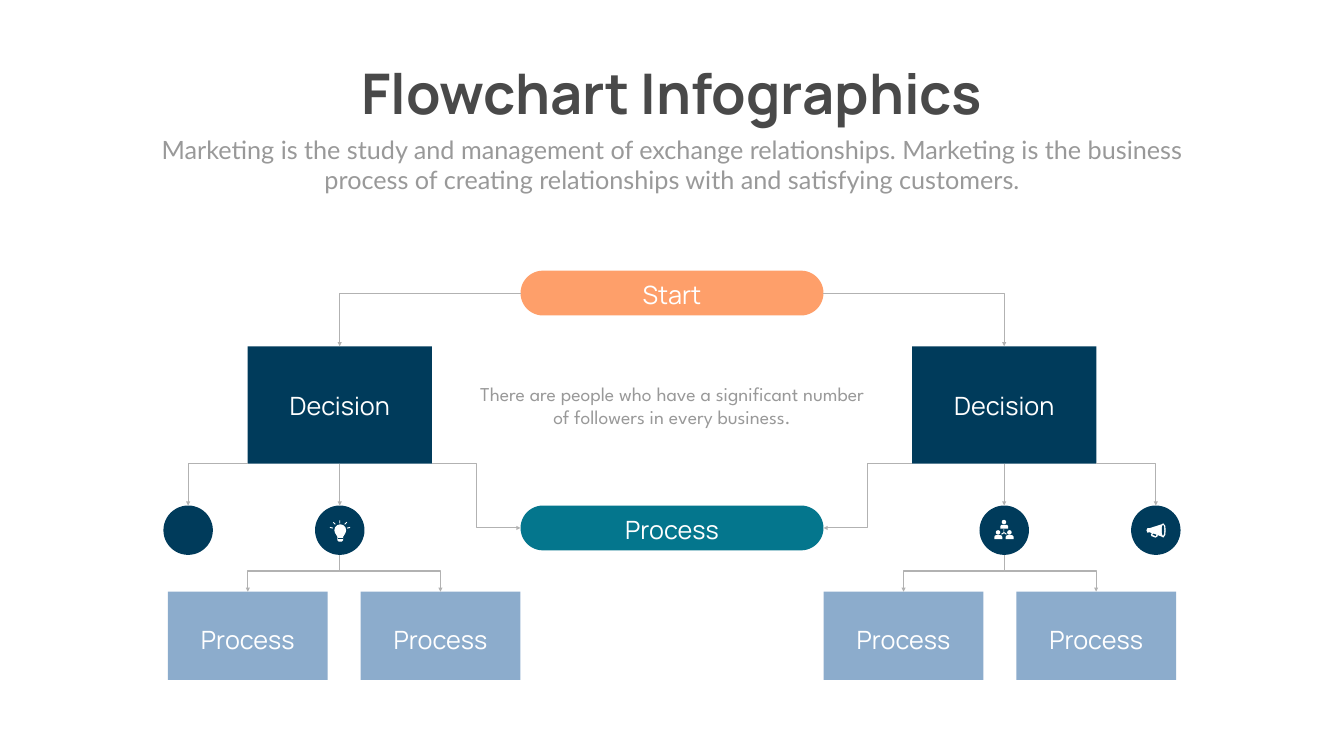
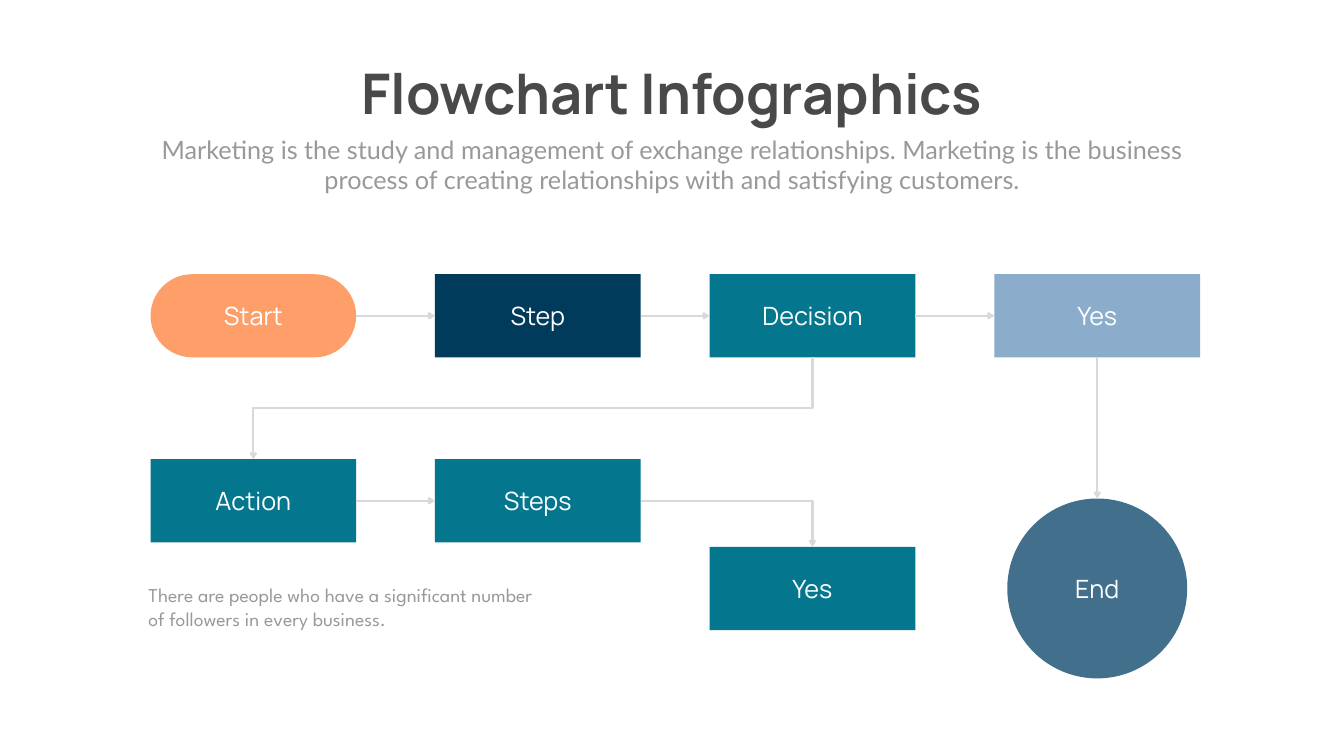
import pptx
import pptx.dml.color
import pptx.enum.shapes
import pptx.enum.text
import pptx.oxml
import pptx.oxml.ns
import pptx.util

WIDE, HIGH = 26.66, 15
# The slide is a grid of 100 columns by 100 rows.
COL, ROW = WIDE / 100, HIGH / 100
MID = 50
INK = {
    "title": "494949", "body": "999999", "white": "FFFFFF",
    "navy": "003B5B", "teal": "04768D", "sky": "8CACCC",
    "steel": "416F8C", "peach": "FE9F6A",
    "thin": "B2B2B2", "pale": "D9D9D9",
}
HEAD, LEAD, NOTE = "Manrope", "Lato", "League Spartan"
KIND = pptx.enum.shapes.MSO_SHAPE
LINK = pptx.enum.shapes.MSO_CONNECTOR
ALIGN = pptx.enum.text.PP_ALIGN
REMARK = ("There are people who have a significant number "
          "of followers in every business.")
INTRO = ("Marketing is the study and management of exchange relationships. "
         "Marketing is the business process of creating relationships with "
         "and satisfying customers.")


def rgb(name):
    return pptx.dml.color.RGBColor.from_string(INK[name])


def spot(col, row):
    return pptx.util.Inches(col * COL), pptx.util.Inches(row * ROW)


def frame(box):
    return (*spot(*box[:2]), *spot(*box[2:]))


def within(box, x, y, w, h):
    """Turn shares of a box into a grid box."""
    left, top, wide, high = box
    return left + x * wide, top + y * high, w * wide, h * high


def write(shape, words, size, font, ink, align=ALIGN.CENTER):
    para = shape.text_frame.paragraphs[0]
    para.alignment = align
    run = para.add_run()
    run.text = words
    run.font.size = pptx.util.Pt(size)
    run.font.name = font
    run.font.color.rgb = rgb(ink)
    return run


def paint(shape, ink):
    shape.shadow.inherit = False
    shape.fill.solid()
    shape.fill.fore_color.rgb = rgb(ink)
    shape.line.fill.background()
    return shape


def block(slide, box, ink, kind=KIND.RECTANGLE, words=None):
    shape = paint(slide.shapes.add_shape(kind, *frame(box)), ink)
    if kind == KIND.ROUNDED_RECTANGLE:
        shape.adjustments[0] = 0.5
    if words:
        shape.text_frame.vertical_anchor = pptx.enum.text.MSO_ANCHOR.MIDDLE
        write(shape, words, 36, HEAD, "white")
    return shape


def text(slide, box, words, size, font, ink, align=ALIGN.CENTER, inset=True):
    area = slide.shapes.add_textbox(*frame(box))
    body = area.text_frame
    body.word_wrap = True
    if not inset:
        body.margin_left = body.margin_right = 0
        body.margin_top = body.margin_bottom = 0
    write(area, words, size, font, ink, align)


def label(slide, x, y, wide, words):
    """Write a white label centred on a grid point."""
    high = 4.07
    text(slide, (x - wide / 2, y - high / 2, wide, high), words,
         36, HEAD, "white", inset=False)


def style(line, look):
    ink, width, tip = look
    line.line.color.rgb = rgb(ink)
    line.line.width = pptx.util.Pt(width)
    props = line._element.spPr
    tail = pptx.oxml.parse_xml(
        f'<a:tailEnd {pptx.oxml.ns.nsdecls("a")} type="{tip}"/>')
    props.find(pptx.oxml.ns.qn("a:ln")).append(tail)
    props.append(pptx.oxml.parse_xml(
        f'<a:effectLst {pptx.oxml.ns.nsdecls("a")}/>'))


def join(slide, start, side, end, face, look):
    line = slide.shapes.add_connector(LINK.STRAIGHT, 0, 0, 0, 0)
    line.begin_connect(start, side)
    line.end_connect(end, face)
    style(line, look)


def bend(slide, start, end, turn, look):
    """Draw an elbow; turn gives its legs: h across, v down."""
    (x1, y1), (x2, y2) = spot(*start), spot(*end)
    right = x2 > x1
    if turn == "vhv":
        # A vertical start is an upright elbow turned about its centre.
        long, deep = y2 - y1, abs(x2 - x1)
        x = (x1 + x2 - long) // 2
        y = (y1 + y2 - deep) // 2
        x1, x2 = (x + long, x) if right else (x, x + long)
        y1, y2 = y, y + deep
    line = slide.shapes.add_connector(LINK.ELBOW, x1, y1, x2, y2)
    props = line._element.spPr
    if turn == "vhv":
        props.xfrm.set("rot", str((270 if right else 90) * 60000))
    elif turn == "hv":
        shape = props.find(pptx.oxml.ns.qn("a:prstGeom"))
        shape.set("prst", "bentConnector2")
    style(line, look)


def poly(slide, box, ink, points):
    """Fill an outline whose points are shares of the box."""
    dots = [spot(*within(box, x, y, 0, 0)[:2]) for x, y in points]
    path = slide.shapes.build_freeform(*dots[0])
    path.add_line_segments(dots[1:], close=True)
    paint(path.convert_to_shape(), ink)


def bulb(slide, box):
    block(slide, within(box, 0.39, 0.38, 0.24, 0.24), "white", KIND.OVAL)
    poly(slide, box, "white", [
        (0.42, 0.58), (0.6, 0.58), (0.57, 0.63), (0.57, 0.7),
        (0.54, 0.73), (0.48, 0.73), (0.45, 0.7), (0.45, 0.63)])
    poly(slide, box, "navy", [
        (0.46, 0.66), (0.56, 0.66), (0.56, 0.67), (0.46, 0.67)])
    rays = [(0.49, 0.3, 0), (0.61, 0.33, 45), (0.38, 0.33, 315),
            (0.32, 0.42, 285), (0.67, 0.42, 75)]
    for x, y, angle in rays:
        ray = block(slide, within(box, x, y, 0.02, 0.06), "white")
        ray.rotation = angle


def team(slide, box):
    for x, y in [(0.5, 0.29), (0.38, 0.5), (0.61, 0.5)]:
        block(slide, within(box, x - 0.05, y, 0.09, 0.09), "white", KIND.OVAL)
        chest = block(slide, within(box, x - 0.08, y + 0.1, 0.16, 0.08),
                      "white", KIND.ROUND_2_SAME_RECTANGLE)
        chest.adjustments[0] = 0.5
    poly(slide, box, "white", [
        (0.49, 0.48), (0.5, 0.48), (0.5, 0.54), (0.55, 0.57), (0.54, 0.59),
        (0.5, 0.56), (0.45, 0.59), (0.44, 0.57), (0.49, 0.54)])


def horn(slide, box):
    poly(slide, box, "white", [
        (0.33, 0.46), (0.37, 0.46), (0.62, 0.38), (0.65, 0.36), (0.69, 0.41),
        (0.7, 0.5), (0.69, 0.6), (0.65, 0.65), (0.62, 0.63), (0.54, 0.6),
        (0.53, 0.63), (0.49, 0.65), (0.41, 0.62), (0.4, 0.59), (0.42, 0.56),
        (0.37, 0.54), (0.33, 0.55), (0.31, 0.5)])
    block(slide, within(box, 0.62, 0.39, 0.05, 0.22), "navy", KIND.OVAL)
    poly(slide, box, "navy", [
        (0.43, 0.59), (0.45, 0.57), (0.51, 0.59), (0.5, 0.62)])


def header(slide):
    title = slide.shapes.title
    title.left, title.top, title.width, title.height = frame(
        (24.55, 7.47, 50.9, 9.67))
    body = title.text_frame
    body.word_wrap = False
    body.auto_size = pptx.enum.text.MSO_AUTO_SIZE.NONE
    body.vertical_anchor = pptx.enum.text.MSO_ANCHOR.TOP
    write(title, "Flowchart Infographics", 80, HEAD, "title").font.bold = True
    text(slide, (10.95, 17.4, 78.1, 8.73), INTRO, 36, LEAD, "body")


def branch(slide, box, side, icons):
    """Draw one half of the tree: side is -1 for left, 1 for right."""
    look = "thin", 1.5, "triangle"
    mid = box[0] + box[2] / 2

    def at(far, down):
        return mid + side * far, box[1] + down

    def centred(far, down, wide, high):
        x, y = at(far, down)
        return x - wide / 2, y, wide, high

    axis, rim, edge = 24.72, 36, 11.27
    wide, base, drop, foot = 13.7, 25.53, 31.07, 42.47
    choice = block(slide, centred(axis, 10, wide, base - 10), "navy")
    label(slide, *at(axis, 17.85), wide, "Decision")
    bend(slide, at(edge, 2.97), at(axis, 10), "hv", look)
    bend(slide, at(axis + wide / 2, base), at(rim, drop), "hv", look)
    bend(slide, at(axis - wide / 2, base), at(edge, drop + 2.97), "hvh", look)
    for far in (31.56, 17.23):
        block(slide, centred(far, foot, 11.89, 11.67), "sky")
        label(slide, *at(far, foot + 6.3), 8.81, "Process")
        bend(slide, at(axis, 37), at(far, foot), "vhv", look)
    for far, icon in zip((axis, rim), icons):
        disc = centred(far, drop, 3.68, 6.53)
        dot = block(slide, disc, "navy", KIND.OVAL)
        if far == axis:
            join(slide, choice, 2, dot, 0, look)
        if icon:
            icon(slide, disc)


def tree(slide, box):
    left, top, wide, _ = box
    mid = left + wide / 2
    for down, ink, words in [(0, "peach", "Start"), (31.07, "teal", "Process")]:
        block(slide, (mid - 11.27, top + down, 22.54, 5.93), ink,
              KIND.ROUNDED_RECTANGLE)
        label(slide, mid, top + down + 3.2, 14.33, words)
    branch(slide, box, -1, (bulb, None))
    branch(slide, box, 1, (team, horn))
    text(slide, (mid - 14.74, top + 14.33, 29.48, 6.93), REMARK,
         28, NOTE, "body")


def flow(slide, box):
    left, top, _, _ = box
    look = "pale", 3, "arrow"
    wide, high = 15.3, 11
    cols = [left + x for x in (0, 21.16, 41.6, 62.79)]
    rows = [top + y for y in (0, 24.47, 36.07)]
    mids = [x + wide / 2 for x in cols]
    steps = [
        (0, 0, "peach", "Start"), (1, 0, "navy", "Step"),
        (2, 0, "teal", "Decision"), (3, 0, "sky", "Yes"),
        (2, 2, "teal", "Yes"), (1, 1, "teal", "Steps"),
        (0, 1, "teal", "Action"),
    ]
    made = {}
    for col, row, ink, words in steps:
        kind = KIND.ROUNDED_RECTANGLE if words == "Start" else KIND.RECTANGLE
        made[col, row] = block(slide, (cols[col], rows[row], wide, high),
                               ink, kind, words)
    size = 13.39
    end = block(slide, (mids[3] - size / 2, top + 29.67, size,
                        size * COL / ROW), "steel", KIND.OVAL, "End")
    for col, row in [(0, 0), (1, 0), (2, 0), (0, 1)]:
        join(slide, made[col, row], 3, made[col + 1, row], 1, look)
    join(slide, made[3, 0], 2, end, 0, look)
    bend(slide, (mids[2], rows[0] + high), (mids[0], rows[1]), "vhv", look)
    bend(slide, (cols[1] + wide, rows[1] + high / 2), (mids[2], rows[2]),
         "hv", look)
    text(slide, (left - 0.52, top + 40.53, 30.05, 6.93), REMARK,
         28, NOTE, "body", ALIGN.LEFT)


def main():
    deck = pptx.Presentation()
    deck.slide_width = pptx.util.Inches(WIDE)
    deck.slide_height = pptx.util.Inches(HIGH)
    pages = [(tree, (MID - 37.8, 35.8, 75.6, 54.13)),
             (flow, (11.2, 36.27, 78.1, 53.5))]
    for draw, box in pages:
        slide = deck.slides.add_slide(deck.slide_layouts[5])
        header(slide)
        draw(slide, box)
    deck.save("out.pptx")


if __name__ == "__main__":
    main()
